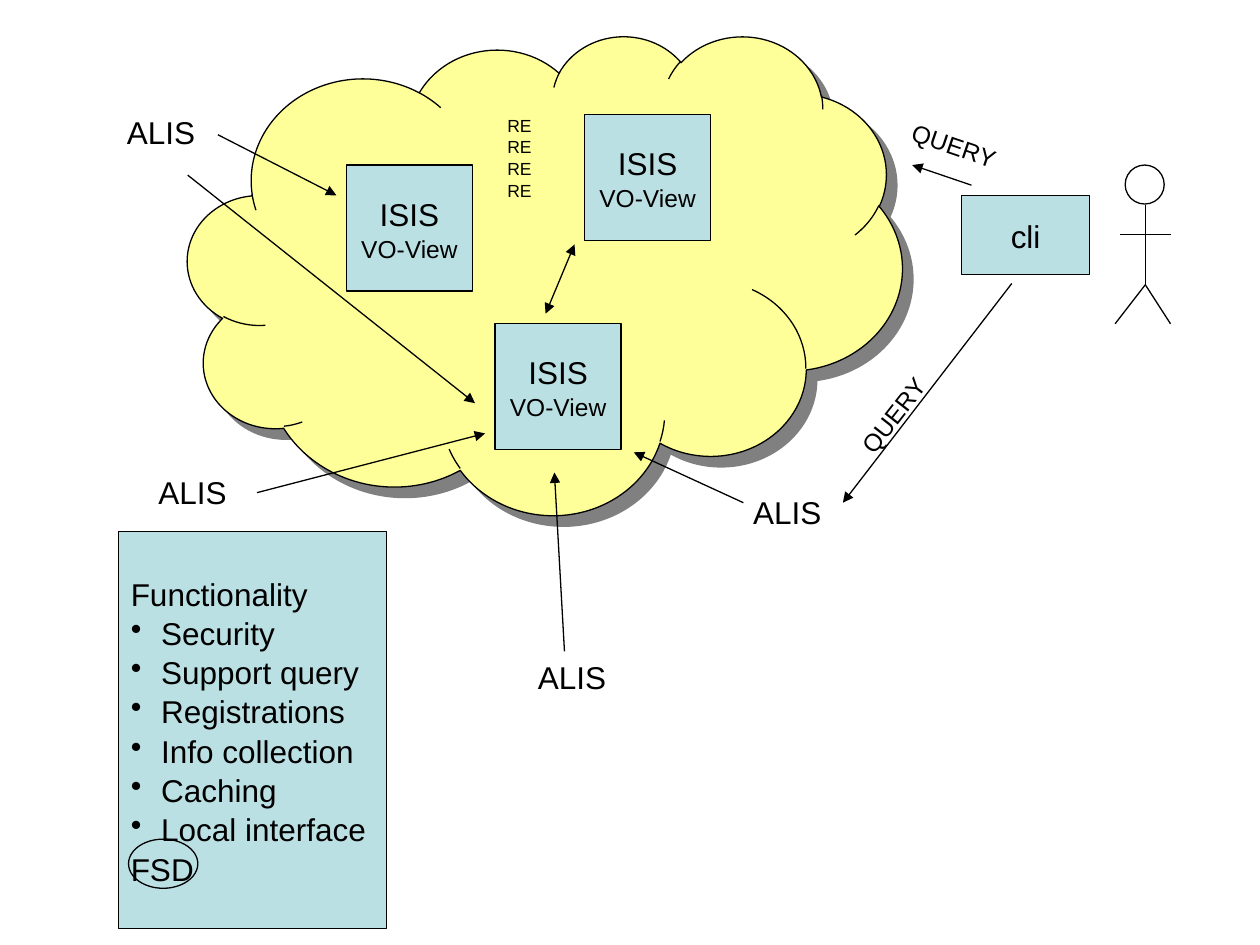
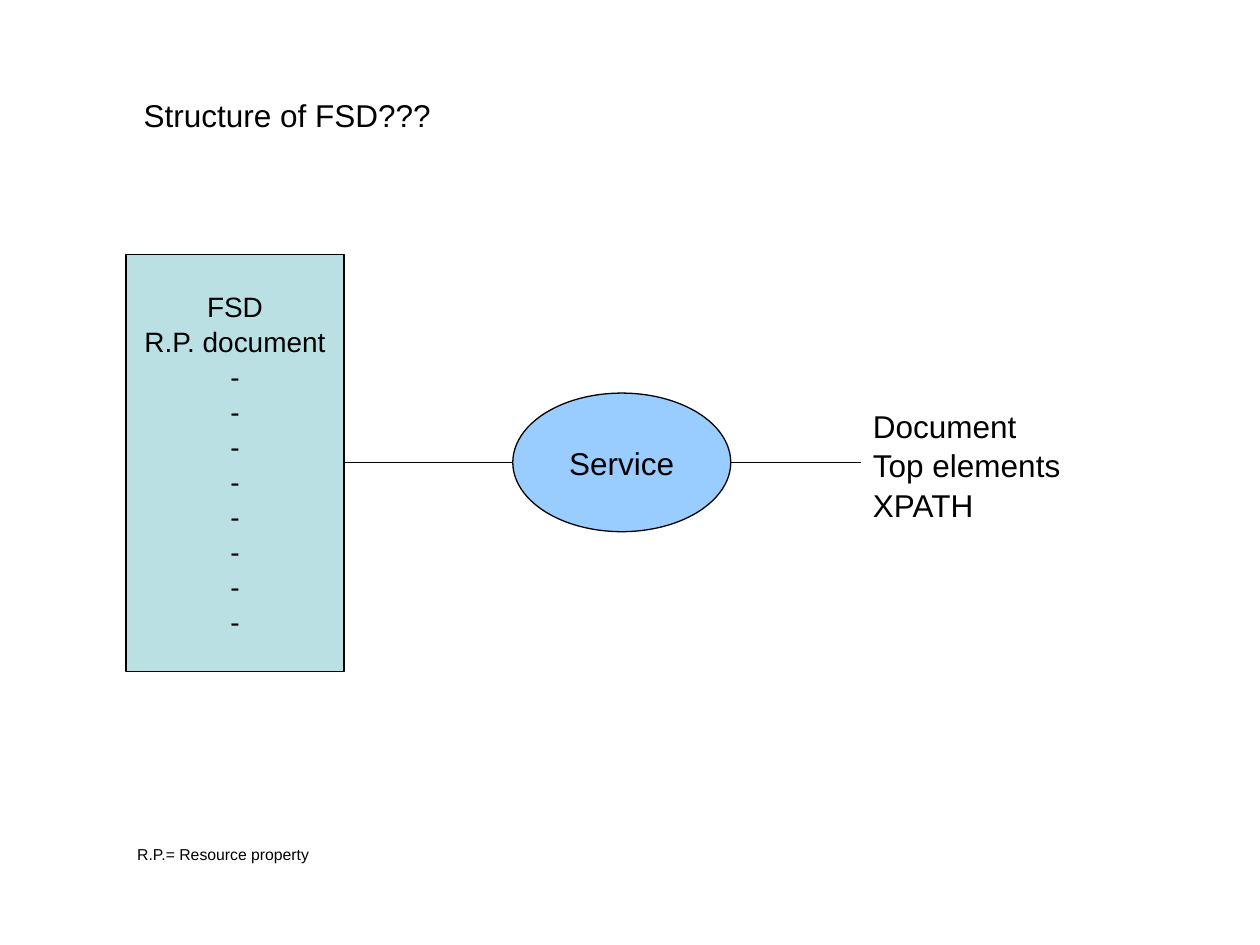
import dataclasses

import pptx
import pptx.dml.color
import pptx.enum.shapes
import pptx.enum.text
import pptx.oxml
import pptx.oxml.ns
import pptx.util

SHAPE = pptx.enum.shapes.MSO_SHAPE
ALIGN = pptx.enum.text.PP_ALIGN
ANCHOR = pptx.enum.text.MSO_ANCHOR


@dataclasses.dataclass(frozen=True)
class Theme:
    font: str = "Arial"
    ink: str = "000000"
    panel: str = "BBE0E3"
    cloud: str = "FFFF99"
    service: str = "99CCFF"
    shadow: str = "808080"
    large: int = 18
    medium: int = 16
    small: int = 14
    tiny: int = 10
    note: int = 9
    line: float = 0.75
    spacing: float = 1.04
    indent: float = 0.24


THEME = Theme()

# Places are in grid cells: the slide is 10 columns by 7.5 rows.
COLUMNS, ROWS = 10, 7.5

CLOUD = (1.49, 0.28, 5.67, 3.8)
CLOUD_TEXT = ["RE"] * 4
NODE_TEXT = ["ISIS", ("VO-View", THEME.small)]
NODE_SIZE = (1, 1)
NODES = [(2.75, 1.31), (3.93, 2.57), (4.64, 0.91)]
CLIENT = (7.63, 1.55, 1.02, 0.63)

FUNCTIONS_BOX = (0.94, 4.22, 2.13, 3.15)
FUNCTIONS = ["Security", "Support query", "Registrations",
             "Info collection", "Caching", "Local interface"]
FSD_RING = (1.02, 6.66, 0.55, 0.39)

ALIS_SIZE = (0.74, 0.4)
ALIS_PLACES = [(0.91, 0.84), (1.16, 3.69), (4.17, 5.16), (5.88, 3.85)]
QUERY_SIZE = (0.89, 0.34)
QUERIES = [((6.64, 3.12), 307.9), ((7.13, 0.98), 18.8)]

ARROWS = [  # start, end (the end carries the arrowhead)
    ((1.73, 1.07), (2.67, 1.55)),
    ((1.49, 1.39), (3.77, 3.2)),
    ((2.04, 3.91), (3.85, 3.44)),
    ((4.48, 5.17), (4.4, 3.75)),
    ((5.9, 3.99), (5.03, 3.59)),
    ((7.71, 1.47), (7.24, 1.31)),
    ((8.03, 2.25), (6.69, 3.99)),
]
NODE_LINK = ((4.33, 2.49), (4.56, 1.94))

USER_HEAD = (8.93, 1.31, 0.31, 0.31)
NECK, HIP = (9.09, 1.63), (9.09, 2.26)
USER_LIMBS = [(NECK, HIP), (HIP, (8.85, 2.57)), (HIP, (9.29, 2.57)),
              ((8.89, 1.86), (9.29, 1.86))]

TITLE = "Structure of FSD???"
TITLE_BOX = (1.04, 0.7, 2.48, 0.4)
DOCUMENT_BOX = (1, 2.02, 1.73, 3.31)
DOCUMENT = ["FSD", "R.P. document"] + ["-"] * 8
SERVICE_BOX = (4.07, 3.12, 1.73, 1.1)
RESULTS_BOX = (6.83, 3.17, 1.71, 1)
RESULTS = ["Document", "Top elements", "XPATH"]
NOTE_BOX = (0.99, 6.65, 1.58, 0.25)
NOTE = "R.P.= Resource property"

prs = pptx.Presentation()
prs.slide_width = pptx.util.Inches(10)
prs.slide_height = pptx.util.Inches(7.5)


def x(columns):
    return round(prs.slide_width * columns / COLUMNS)


def y(rows):
    return round(prs.slide_height * rows / ROWS)


def place(box):
    left, top, width, height = box
    return x(left), y(top), x(width), y(height)


def rgb(color):
    return pptx.dml.color.RGBColor.from_string(color)


def add_xml(parent, tag, **attributes):
    child = pptx.oxml.parse_xml(f"<{tag} {pptx.oxml.ns.nsdecls('a')}/>")
    for name, value in attributes.items():
        child.set(name, str(value))
    parent.append(child)
    return child


def write(tf, lines, size=THEME.large, align=ALIGN.LEFT, anchor=ANCHOR.TOP,
          wrap=False, bullets=()):
    """Fill a text frame; a line is a string or a (string, size) pair."""
    tf.word_wrap = wrap
    tf.auto_size = pptx.enum.text.MSO_AUTO_SIZE.NONE
    tf.vertical_anchor = anchor
    for i, line in enumerate(lines):
        text, points = line if isinstance(line, tuple) else (line, size)
        p = tf.paragraphs[0] if i == 0 else tf.add_paragraph()
        p.alignment = align
        p.line_spacing = THEME.spacing
        p.space_before = pptx.util.Pt(0)
        if text in bullets:
            pPr = p._p.get_or_add_pPr()
            indent = pptx.util.Inches(THEME.indent)
            pPr.set("marL", str(indent))
            pPr.set("indent", str(-indent))
            add_xml(pPr, "a:buChar", char="•")
        r = p.add_run()
        r.text = text
        r.font.name = THEME.font
        r.font.size = pptx.util.Pt(points)
        r.font.color.rgb = rgb(THEME.ink)


def add_figure(s, kind, box, fill=None, lines=(), **text_format):
    sp = s.shapes.add_shape(kind, *place(box))
    sp.shadow.inherit = False
    if fill:
        sp.fill.solid()
        sp.fill.fore_color.rgb = rgb(fill)
    else:
        sp.fill.background()
    sp.line.color.rgb = rgb(THEME.ink)
    sp.line.width = pptx.util.Pt(THEME.line)
    text_format = {"align": ALIGN.CENTER, "anchor": ANCHOR.MIDDLE, **text_format}
    write(sp.text_frame, lines, **text_format)
    return sp


def add_label(s, box, lines, rotation=0, **text_format):
    sp = s.shapes.add_textbox(*place(box))
    sp.rotation = rotation
    write(sp.text_frame, lines, **text_format)


def add_line(s, start, end, arrows=()):
    """Draw a line; arrows names its ends, headEnd at start, tailEnd at end."""
    line = s.shapes.add_connector(
        pptx.enum.shapes.MSO_CONNECTOR.STRAIGHT,
        x(start[0]), y(start[1]), x(end[0]), y(end[1]))
    line.line.color.rgb = rgb(THEME.ink)
    line.line.width = pptx.util.Pt(THEME.line)
    ln = line.line._get_or_add_ln()
    for arrow in arrows:
        add_xml(ln, f"a:{arrow}", type="triangle")
    add_xml(line._element.spPr, "a:effectLst")


def add_hard_shadow(sp):
    effects = sp._element.spPr.find(pptx.oxml.ns.qn("a:effectLst"))
    shadow = add_xml(effects, "a:outerShdw", dist=pptx.util.Pt(8.5),
                     dir=45 * 60000, algn="ctr", rotWithShape=0)
    add_xml(shadow, "a:srgbClr", val=THEME.shadow)


def build_overview():
    s = prs.slides.add_slide(prs.slide_layouts[6])
    cloud = add_figure(s, SHAPE.CLOUD, CLOUD, THEME.cloud, CLOUD_TEXT,
                       size=THEME.tiny, anchor=ANCHOR.TOP, wrap=True)
    add_hard_shadow(cloud)
    add_figure(s, SHAPE.RECTANGLE, FUNCTIONS_BOX, THEME.panel,
               ["Functionality", *FUNCTIONS, "FSD"],
               align=ALIGN.LEFT, wrap=True, bullets=FUNCTIONS)
    add_figure(s, SHAPE.OVAL, FSD_RING)
    for corner in NODES:
        add_figure(s, SHAPE.RECTANGLE, corner + NODE_SIZE, THEME.panel, NODE_TEXT)
    add_figure(s, SHAPE.RECTANGLE, CLIENT, THEME.panel, ["cli"])
    add_figure(s, SHAPE.OVAL, USER_HEAD)
    for start, end in USER_LIMBS:
        add_line(s, start, end)
    for corner in ALIS_PLACES:
        add_label(s, corner + ALIS_SIZE, ["ALIS"])
    for corner, rotation in QUERIES:
        add_label(s, corner + QUERY_SIZE, ["QUERY"], rotation, size=THEME.small)
    for start, end in ARROWS:
        add_line(s, start, end, ["tailEnd"])
    add_line(s, *NODE_LINK, ["headEnd", "tailEnd"])


def build_structure():
    s = prs.slides.add_slide(prs.slide_layouts[5])
    title = s.shapes.title
    title.left, title.top, title.width, title.height = place(TITLE_BOX)
    write(title.text_frame, [TITLE])
    add_figure(s, SHAPE.RECTANGLE, DOCUMENT_BOX, THEME.panel, DOCUMENT,
               size=THEME.medium)
    add_figure(s, SHAPE.OVAL, SERVICE_BOX, THEME.service, ["Service"])
    add_label(s, RESULTS_BOX, RESULTS, wrap=True)
    middle = SERVICE_BOX[1] + SERVICE_BOX[3] / 2
    stops = [DOCUMENT_BOX, SERVICE_BOX, RESULTS_BOX]
    for before, after in zip(stops, stops[1:]):
        add_line(s, (before[0] + before[2], middle), (after[0], middle))
    add_label(s, NOTE_BOX, [NOTE], size=THEME.note)


def main():
    build_overview()
    build_structure()
    prs.save("out.pptx")


if __name__ == "__main__":
    main()
